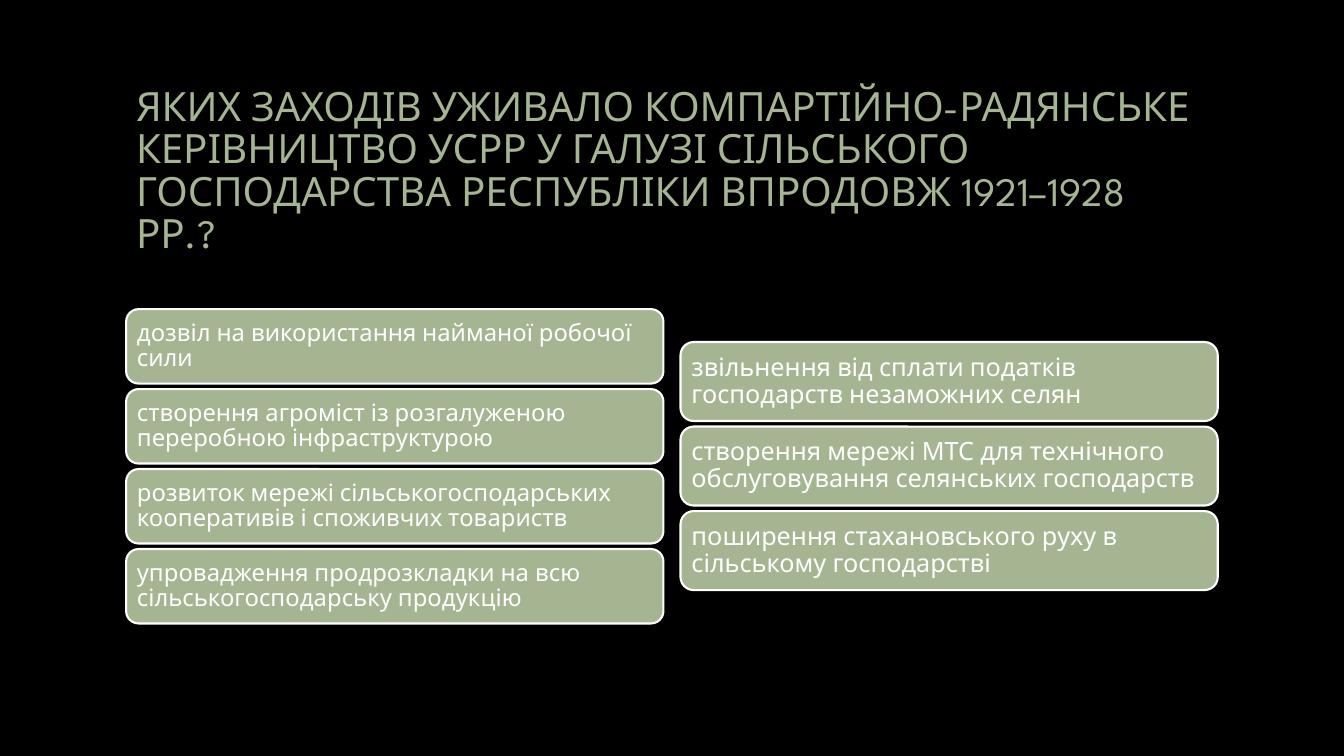
from pptx import Presentation
from pptx.dml.color import RGBColor
from pptx.enum import shapes, text
from pptx.util import Cm, Pt

BLACK = RGBColor(0x00, 0x00, 0x00)
SAGE = RGBColor(0xA5, 0xB5, 0x92)
WHITE = RGBColor(0xFF, 0xFF, 0xFF)
FONT = "League Spartan"

TITLE = ("ЯКИХ ЗАХОДІВ УЖИВАЛО КОМПАРТІЙНО-РАДЯНСЬКЕ КЕРІВНИЦТВО УСРР У ГАЛУЗІ "
         "СІЛЬСЬКОГО ГОСПОДАРСТВА РЕСПУБЛІКИ ВПРОДОВЖ 1921–1928 РР.?")
LEFT_MEASURES = [
    "дозвіл на використання найманої робочої сили",
    "створення агроміст із розгалуженою переробною інфраструктурою",
    "розвиток мережі сільськогосподарських кооперативів і споживчих товариств",
    "упровадження продрозкладки на всю сільськогосподарську продукцію",
]
RIGHT_MEASURES = [
    "звільнення від сплати податків господарств незаможних селян",
    "створення мережі МТС для технічного обслуговування селянських господарств",
    "поширення стахановського руху в сільському господарстві",
]


def write(tf, words, *, size, color, spacing, inset_x, inset_y):
    """Put one left-aligned, vertically centred paragraph in a text frame."""
    tf.word_wrap = True
    tf.vertical_anchor = text.MSO_ANCHOR.MIDDLE
    tf.margin_left = tf.margin_right = Cm(inset_x)
    tf.margin_top = tf.margin_bottom = Cm(inset_y)
    p = tf.paragraphs[0]
    p.alignment = text.PP_ALIGN.LEFT
    p.line_spacing = spacing
    r = p.add_run()
    r.text = words
    r.font.name = FONT
    r.font.size = Pt(size)
    r.font.color.rgb = color


def add_title(slide, x, y, w, h):
    sp = slide.shapes.add_textbox(Cm(x), Cm(y), Cm(w), Cm(h))
    write(sp.text_frame, TITLE, size=28.8, color=SAGE, spacing=0.88,
          inset_x=0.25, inset_y=0.13)


def add_measures(slide, measures, x, y, w, h, *, gap, size):
    """Stack equal rounded cards, filling the given box."""
    group = slide.shapes.add_group_shape()
    card_h = (h - gap * (len(measures) - 1)) / len(measures)
    for i, measure in enumerate(measures):
        sp = group.shapes.add_shape(
            shapes.MSO_SHAPE.ROUNDED_RECTANGLE,
            Cm(x), Cm(y + i * (card_h + gap)), Cm(w), Cm(card_h))
        sp.shadow.inherit = False
        sp.fill.solid()
        sp.fill.fore_color.rgb = SAGE
        sp.line.color.rgb = WHITE
        sp.line.width = Pt(1.5)
        write(sp.text_frame, measure, size=size, color=WHITE, spacing=0.9,
              inset_x=0.18, inset_y=0.18)


def main():
    prs = Presentation()
    prs.slide_width, prs.slide_height = Cm(33.87), Cm(19.05)
    slide = prs.slides.add_slide(prs.slide_layouts[6])
    slide.background.fill.solid()
    slide.background.fill.fore_color.rgb = BLACK

    # Question
    add_title(slide, 3.18, 1.7, 27.51, 5.28)

    # Two columns of answers
    add_measures(slide, LEFT_MEASURES, 3.18, 7.79, 13.54, 7.92, gap=0.14, size=17)
    add_measures(slide, RIGHT_MEASURES, 17.15, 8.62, 13.54, 6.25, gap=0.14, size=18)

    prs.save("out.pptx")


if __name__ == "__main__":
    main()
